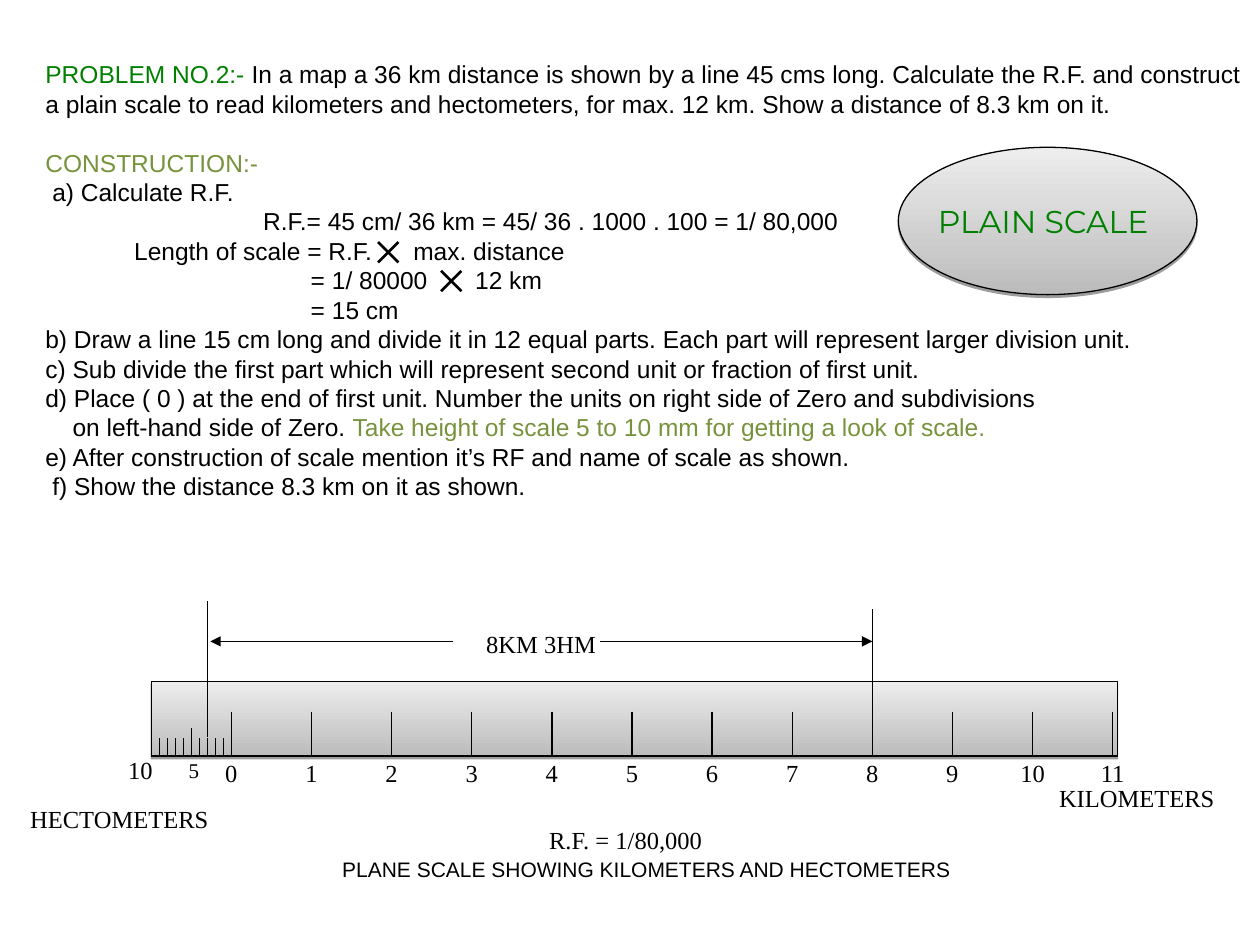
from dataclasses import dataclass

from lxml import etree
from pptx import Presentation
from pptx.dml.color import RGBColor
from pptx.enum.shapes import MSO_CONNECTOR, MSO_SHAPE
from pptx.enum.text import MSO_ANCHOR, MSO_AUTO_SIZE, PP_ALIGN
from pptx.oxml.ns import qn
from pptx.util import Cm, Pt

STRAIGHT = MSO_CONNECTOR.STRAIGHT
RECTANGLE, OVAL = MSO_SHAPE.RECTANGLE, MSO_SHAPE.OVAL
TOP, MIDDLE = MSO_ANCHOR.TOP, MSO_ANCHOR.MIDDLE
NO_FIT = MSO_AUTO_SIZE.NONE
LEFT, CENTER = PP_ALIGN.LEFT, PP_ALIGN.CENTER


@dataclass(frozen=True)
class Theme:
    ink = RGBColor(0x00, 0x00, 0x00)
    green = RGBColor(0x00, 0x80, 0x00)
    olive = RGBColor(0x77, 0x93, 0x3C)
    dark_grey = RGBColor(0xBC, 0xBC, 0xBC)
    light_grey = RGBColor(0xED, 0xED, 0xED)
    sans = "Arial"
    serif = "Times New Roman"
    display = "Montserrat"
    title_size = Pt(18)
    text_size = Pt(14)
    small_size = Pt(12)
    line_height = Pt(16.8)
    thin = Pt(0.75)
    thick = Pt(1.5)


theme = Theme()
prs = Presentation()
prs.slide_width, prs.slide_height = Cm(25.4), Cm(19.05)
slide = prs.slides.add_slide(prs.slide_layouts[1])
title, solution = slide.placeholders


def add_line(x1, y1, x2, y2, width=theme.thin, arrow=False):
    """Draw a straight line, in centimetres, with an optional arrowhead at its end."""
    line = slide.shapes.add_connector(STRAIGHT, Cm(x1), Cm(y1), Cm(x2), Cm(y2))
    line.line.color.rgb = theme.ink
    line.line.width = width
    if arrow:
        etree.SubElement(line.line._get_or_add_ln(), qn("a:tailEnd"), type="triangle")
    etree.SubElement(line._element.spPr, qn("a:effectLst"))


def add_label(text, left, top, width, align=LEFT, size=theme.text_size, font=theme.serif):
    label = slide.shapes.add_textbox(Cm(left), Cm(top), Cm(width), Cm(0.86))
    label.text_frame.word_wrap = True
    label.text_frame.text = text
    paragraph = label.text_frame.paragraphs[0]
    paragraph.alignment = align
    paragraph.font.size = size
    paragraph.font.name = font
    paragraph.font.color.rgb = theme.ink


# Scale bar and title oval
bar = slide.shapes.add_shape(RECTANGLE, Cm(3.05), Cm(13.74), Cm(19.48), Cm(1.5))
oval = slide.shapes.add_shape(OVAL, Cm(18.11), Cm(2.97), Cm(6.02), Cm(2.97))
for panel in (bar, oval):
    panel.fill.gradient()
    panel.fill.gradient_angle = 90
    for stop, grey in zip(panel.fill.gradient_stops, (theme.dark_grey, theme.light_grey)):
        stop.color.rgb = grey
    panel.line.color.rgb = theme.ink
    panel.line.width = theme.thin
    panel.shadow.inherit = False
    effects = panel._element.spPr.find(qn("a:effectLst"))
    shadow = etree.SubElement(effects, qn("a:outerShdw"), dist="20000", dir="5400000", rotWithShape="0")
    shadow_color = etree.SubElement(shadow, qn("a:srgbClr"), val="000000")
    etree.SubElement(shadow_color, qn("a:alpha"), val="38000")

# Title, in front of its oval
title._element.addprevious(oval._element)
title.left, title.top, title.width, title.height = Cm(18.02), Cm(2.97), Cm(6.02), Cm(2.97)
title.text_frame.text = "PLAIN SCALE"
title.text_frame.vertical_anchor = MIDDLE
title.text_frame.auto_size = NO_FIT
heading = title.text_frame.paragraphs[0]
heading.alignment = CENTER
heading.font.size = theme.title_size
heading.font.name = theme.display
heading.font.color.rgb = theme.green

# Problem and construction steps: indent in cm, then coloured pieces of text;
# a third value widens a space, in points, to make room for a multiplication sign
ink, green, olive = theme.ink, theme.green, theme.olive
solution_lines = [
    (0, [("PROBLEM NO.2:- ", green),
         ("In a map a 36 km distance is shown by a line 45 cms long. "
          "Calculate the R.F. and construct", ink)]),
    (0, [("a plain scale to read kilometers and hectometers, for max. 12 km. "
          "Show a distance of 8.3 km on it.", ink)]),
    (0, [("CONSTRUCTION:-", olive)]),
    (0.14, [("a) Calculate R.F.", ink)]),
    (4.39, [("R.F.= 45 cm/ 36 km = 45/ 36 . 1000 . 100 = 1/ 80,000", ink)]),
    (1.79, [("Length of scale = R.F.", ink), (" ", ink, 19.4), ("max. distance", ink)]),
    (5.35, [("= 1/ 80000", ink), (" ", ink, 23.3), ("12 km", ink)]),
    (5.35, [("= 15 cm", ink)]),
    (0, [("b) Draw a line 15 cm long and divide it in 12 equal parts. "
          "Each part will represent larger division unit.", ink)]),
    (0, [("c) Sub divide the first part which will represent second unit "
          "or fraction of first unit.", ink)]),
    (0, [("d) Place ( 0 ) at the end of first unit. Number the units on right side "
          "of Zero and subdivisions", ink)]),
    (0.55, [("on left-hand side of Zero. ", ink),
            ("Take height of scale 5 to 10 mm for getting a look of scale.", olive)]),
    (0, [("e) After construction of scale mention it’s RF and name of scale as shown.", ink)]),
    (0.14, [("f) Show the distance 8.3 km on it as shown.", ink)]),
]
solution.left, solution.top, solution.width, solution.height = Cm(0.66), Cm(1.07), Cm(24.74), Cm(9.14)
steps = solution.text_frame
steps.word_wrap = True
steps.auto_size = NO_FIT
steps.vertical_anchor = TOP
for number, (indent, pieces) in enumerate(solution_lines):
    paragraph = steps.add_paragraph() if number else steps.paragraphs[0]
    properties = paragraph._p.get_or_add_pPr()
    properties.set("marL", str(int(Cm(indent))))
    properties.set("indent", "0")
    etree.SubElement(properties, qn("a:buNone"))
    paragraph.line_spacing = theme.line_height
    paragraph.space_before = theme.line_height if pieces[0][0] == "CONSTRUCTION:-" else Pt(0)
    for text, color, *sign_gap in pieces:
        run = paragraph.add_run()
        run.text = text
        run.font.size = theme.text_size
        run.font.name = theme.sans
        run.font.color.rgb = color
        for gap in sign_gap:
            run._r.get_or_add_rPr().set("spc", str(round(gap * 100)))

# Multiplication signs in the length calculation
sign_size = 0.41
for x, y in ((7.62, 4.88), (8.89, 5.46)):
    add_line(x, y, x + sign_size, y + sign_size, theme.thick)
    add_line(x + sign_size, y, x, y + sign_size, theme.thick)

# Scale divisions: one kilometre split into hectometres, then eleven kilometres
scale_start, scale_end, baseline = 3.05, 22.43, 15.24
kilometre = (scale_end - scale_start) / 12
hectometre = kilometre / 10
zero = scale_start + kilometre
add_line(scale_start, baseline, 22.5, baseline)
add_line(scale_start, 14.35, scale_start, baseline)
for count in range(1, 10):
    x = zero - count * hectometre
    add_line(x, 14.68 if count == 5 else 14.88, x, baseline)
for count in range(12):
    x = zero + count * kilometre
    add_line(x, 14.35, x, baseline)
    add_label(str(count), x - 0.5, 15.16, 1, CENTER)
add_label("10", 2.33, 15.09, 1, CENTER)
add_label("5", 3.41, 15.14, 1, CENTER, theme.small_size)

# Measured distance of 8.3 km
distance_start, distance_end = zero - 3 * hectometre, zero + 8 * kilometre
add_line(distance_start, 14.86, distance_start, 12.12)
add_line(distance_end, 14.6, distance_end, 12.27)
add_line(9.14, 12.93, distance_start + 0.06, 12.93, arrow=True)
add_line(12.09, 12.93, distance_end, 12.93, arrow=True)
add_label("8KM 3HM", 9.31, 12.55, 3.2, CENTER)

# Units and caption
add_label("KILOMETERS", 21.1, 15.67, 3.8)
add_label("HECTOMETERS", 0.36, 16.08, 4.2)
add_label("R.F. = 1/80,000", 10.82, 16.51, 3.8)
add_label("PLANE SCALE SHOWING KILOMETERS AND HECTOMETERS", 6.65, 17.14, 13.2,
          size=theme.small_size, font=theme.sans)

prs.save("out.pptx")
